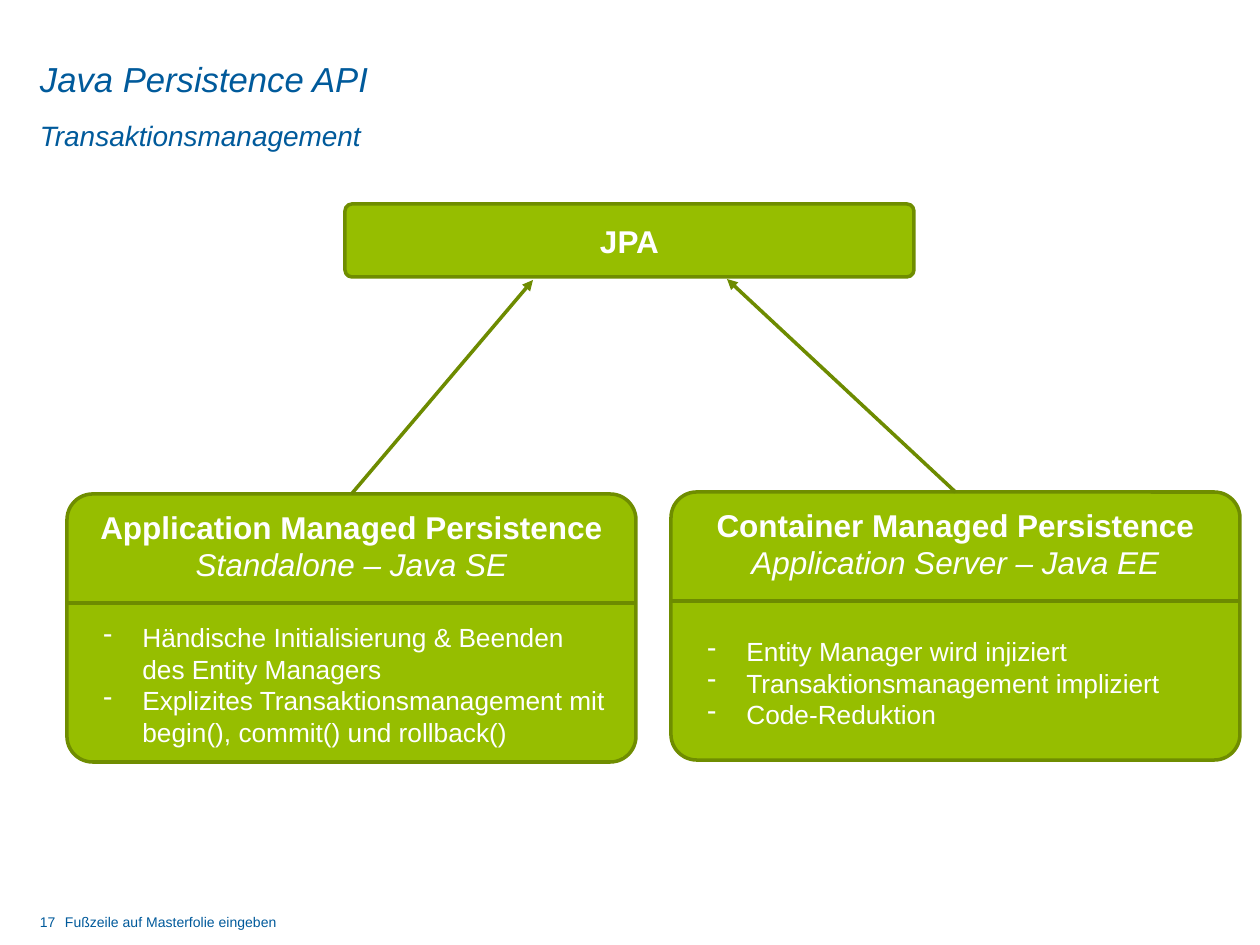
from lxml import etree
from pptx import Presentation
from pptx.dml.color import RGBColor
from pptx.enum.shapes import MSO_CONNECTOR, MSO_SHAPE
from pptx.enum.text import MSO_ANCHOR, MSO_AUTO_SIZE, PP_ALIGN
from pptx.oxml.ns import qn
from pptx.util import Pt

PX = 914400 / 126
ROUNDED = MSO_SHAPE.ROUNDED_RECTANGLE
STRAIGHT = MSO_CONNECTOR.STRAIGHT
LEFT, CENTER = PP_ALIGN.LEFT, PP_ALIGN.CENTER
TOP, MIDDLE = MSO_ANCHOR.TOP, MSO_ANCHOR.MIDDLE

BLUE = RGBColor(0x00, 0x5A, 0x9B)
GREEN = RGBColor(0x96, 0xBE, 0x00)
OUTLINE = RGBColor(0x6F, 0x8D, 0x00)
ARROW = RGBColor(0x6D, 0x8B, 0x00)
WHITE = RGBColor(0xFF, 0xFF, 0xFF)

TITLE = "Java Persistence API"
SUBTITLE = "Transaktionsmanagement"
PAGE_NUMBER = "17"
FOOTER = "Fußzeile auf Masterfolie eingeben"
API = "JPA"
VARIANTS = [
    {
        "name": "Application Managed Persistence",
        "platform": "Standalone – Java SE",
        "details": [
            "Händische Initialisierung & Beenden des Entity Managers",
            "Explizites Transaktionsmanagement mit begin(), commit() und rollback()",
        ],
        "corner": (67, 494),
        "arrow_tip": (533, 280),
    },
    {
        "name": "Container Managed Persistence",
        "platform": "Application Server – Java EE",
        "details": [
            "Entity Manager wird injiziert",
            "Transaktionsmanagement impliziert",
            "Code-Reduktion",
        ],
        "corner": (671, 492),
        "arrow_tip": (727, 279),
    },
]
BOX_WIDTH, API_HEIGHT, VARIANT_HEIGHT = 569, 73, 268
HEADER_HEIGHT = 109
DETAIL_OFFSET, DETAIL_SIZE = (24, 118), (532, 145)
BULLET_INDENT = 39


def emu(*lengths):
    return [round(length * PX) for length in lengths]


def write(shape, lines, size, color=WHITE, align=LEFT, anchor=TOP, styles=("",),
          margin=None, spacing=None, bullet=None):
    """Fill a shape with one paragraph per line; styles holds "b"/"i" flags, cycled."""
    frame = shape.text_frame
    frame.word_wrap = True
    frame.auto_size = MSO_AUTO_SIZE.NONE
    frame.vertical_anchor = anchor
    if margin is not None:
        frame.margin_left = frame.margin_right = margin
        frame.margin_top = frame.margin_bottom = margin
    for index, line in enumerate(lines):
        paragraph = frame.paragraphs[0] if index == 0 else frame.add_paragraph()
        paragraph.alignment = align
        paragraph.space_before = Pt(0)
        if spacing:
            paragraph.line_spacing = spacing
        if bullet:
            properties = paragraph._p.get_or_add_pPr()
            indent, = emu(BULLET_INDENT)
            properties.set("marL", str(indent))
            properties.set("indent", str(-indent))
            etree.SubElement(properties, qn("a:buChar"), char=bullet)
        run = paragraph.add_run()
        run.text = line
        style = styles[index % len(styles)]
        font = run.font
        font.name, font.size, font.color.rgb = "Arial", Pt(size), color
        font.bold, font.italic = "b" in style, "i" in style


def add_box(slide, box, corner=0.096, outlined=True):
    shape = slide.shapes.add_shape(ROUNDED, *emu(*box))
    shape.adjustments[0] = corner
    shape.shadow.inherit = False
    shape.fill.solid()
    shape.fill.fore_color.rgb = GREEN
    if outlined:
        shape.line.color.rgb = OUTLINE
        shape.line.width = Pt(2)
    else:
        shape.line.fill.background()
    return shape


def add_line(slide, start, end, arrow=False):
    line = slide.shapes.add_connector(STRAIGHT, *emu(*start, *end))
    line.line.color.rgb = ARROW
    line.line.width = Pt(2)
    if arrow:
        etree.SubElement(line.line._get_or_add_ln(), qn("a:tailEnd"), type="triangle")
    etree.SubElement(line._element.spPr, qn("a:effectLst"))
    return line


def add_variant(slide, variant):
    left, top = variant["corner"]
    box = add_box(slide, (left, top, BOX_WIDTH, VARIANT_HEIGHT))
    write(box, [variant["name"], variant["platform"]], 18, align=CENTER, styles=("b", "i"))

    divider = top + HEADER_HEIGHT
    add_line(slide, (left, divider), (left + BOX_WIDTH, divider))

    dx, dy = DETAIL_OFFSET
    details = add_box(slide, (left + dx, top + dy, *DETAIL_SIZE), corner=0, outlined=False)
    write(details, variant["details"], 15, anchor=MIDDLE, bullet="-")

    arrow = add_line(slide, (left + BOX_WIDTH / 2, top), variant["arrow_tip"], arrow=True)
    arrow.begin_connect(box, 0)


def place(shape, box):
    shape.left, shape.top, shape.width, shape.height = emu(*box)
    return shape


def main():
    presentation = Presentation()
    presentation.slide_width, presentation.slide_height = emu(1260, 945)
    slide = presentation.slides.add_slide(presentation.slide_layouts[0])

    heading = place(slide.shapes.title, (40, 56, 1008, 45))
    write(heading, [TITLE], 19.8, BLUE, anchor=MIDDLE, styles=("i",), margin=0)
    subheading = place(slide.placeholders[1], (40, 102, 1008, 47))
    write(subheading, [SUBTITLE], 16, BLUE, styles=("i",), margin=0, spacing=1.5)

    for text, box in ((PAGE_NUMBER, (40, 914, 26, 29)), (FOOTER, (65, 914, 459, 34))):
        write(slide.shapes.add_textbox(*emu(*box)), [text], 8, BLUE, margin=0)

    api_box = add_box(slide, (345, 204, BOX_WIDTH, API_HEIGHT))
    write(api_box, [API], 18, align=CENTER, anchor=MIDDLE, styles=("b",))
    for variant in VARIANTS:
        add_variant(slide, variant)

    presentation.save("out.pptx")


if __name__ == "__main__":
    main()
